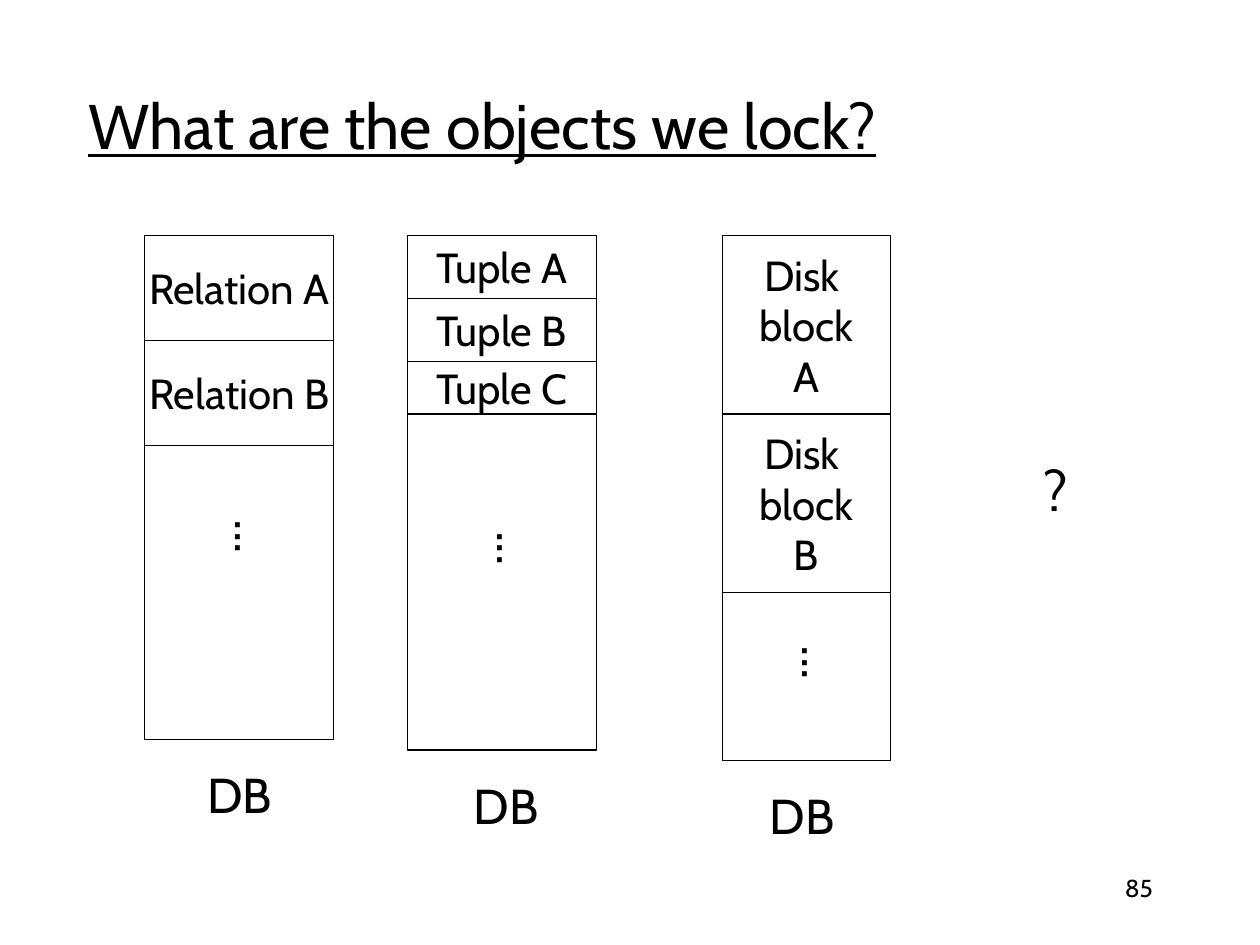
from pptx import Presentation
from pptx import util as u
from pptx.dml.color import RGBColor
from pptx.enum import shapes, text

INK = {"text": "000000", "line": "000000", "box": "FFFFFF"}
FONT = "Cabin"
LEFT, TOP, UNIT = 1.15, 1.87, 1 / 12  # grid origin and cell, in inches

# start column, width, (label, rows) from top to bottom, row of the dots, label shift
STACKS = [
    (0, 18, [("Relation A", 10), ("Relation B", 10), ("", 28)], 28.7, 0),
    (25, 18, [("Tuple A", 6), ("Tuple B", 6), ("Tuple C", 5), ("", 32)], 29.8, 0.4),
    (55, 16, [("Disk \nblock\nA", 17), ("Disk \nblock\nB", 17), ("", 16)], 40.7, -0.4),
]


def color(name):
    return RGBColor.from_string(INK[name])


class Deck:
    """Holds the style, the grid and the current slide."""

    def __init__(self):
        self.prs = Presentation()
        self.prs.slide_width, self.prs.slide_height = u.Inches(10), u.Inches(7.5)
        self.slide = self.prs.slides.add_slide(self.prs.slide_layouts[5])

    def grid(self, col, row, wide, high):
        """Turn columns and rows into lengths."""
        return [u.Inches(n) for n in (LEFT + col * UNIT, TOP + row * UNIT,
                                      wide * UNIT, high * UNIT)]

    def fill_text(self, shape, words, size, align=text.PP_ALIGN.CENTER,
                  wrap=True, line=False):
        frame = shape.text_frame
        frame.word_wrap = wrap
        frame.vertical_anchor = text.MSO_ANCHOR.MIDDLE
        for i, part in enumerate(words.split("\n")):
            para = frame.add_paragraph() if i else frame.paragraphs[0]
            para.alignment = align
            run = para.add_run()
            run.text = part
            font = run.font
            font.name, font.size = FONT, u.Pt(size)
            font.underline = line
            font.color.rgb = color("text")

    def title(self, words):
        head = self.slide.shapes.title
        head.left, head.top = u.Inches(0.6), u.Inches(0.36)
        head.width, head.height = u.Inches(8.5), u.Inches(1.25)
        self.fill_text(head, words, 36, text.PP_ALIGN.LEFT, line=True)

    def cell(self, words, *place):
        box = self.slide.shapes.add_shape(
            shapes.MSO_SHAPE.RECTANGLE, *self.grid(*place))
        box.shadow.inherit = False
        box.fill.solid()
        box.fill.fore_color.rgb = color("box")
        box.line.color.rgb = color("line")
        box.line.width = u.Pt(0.75)
        if words:
            self.fill_text(box, words, 24, wrap=False)

    def label(self, words, size, mid, row, wide, high, turn=0, **style):
        """Place text around a middle column and row."""
        box = self.slide.shapes.add_textbox(
            *self.grid(mid - wide / 2, row - high / 2, wide, high))
        box.rotation = turn
        self.fill_text(box, words, size, **style)

    def stack(self, col, wide, cells, dots, shift):
        row, mid = 0, col + wide / 2
        for words, high in cells:
            self.cell(words, col, row, wide, high)
            row += high
        self.label("...", 32, mid + 1.75, dots, 7.3, 7.7, turn=90)
        self.label("DB", 28, mid + shift, row + 5.2, 8.8, 6.8, wrap=False)


def main():
    deck = Deck()
    deck.title("What are the objects we lock?")
    for stack in STACKS:
        deck.stack(*stack)
    deck.label("?", 32, 86.8, 24.1, 8, 7.7)
    deck.label("85", 14, 84.7, 62.1, 25, 4.6, align=text.PP_ALIGN.RIGHT)
    deck.prs.save("out.pptx")


if __name__ == "__main__":
    main()
